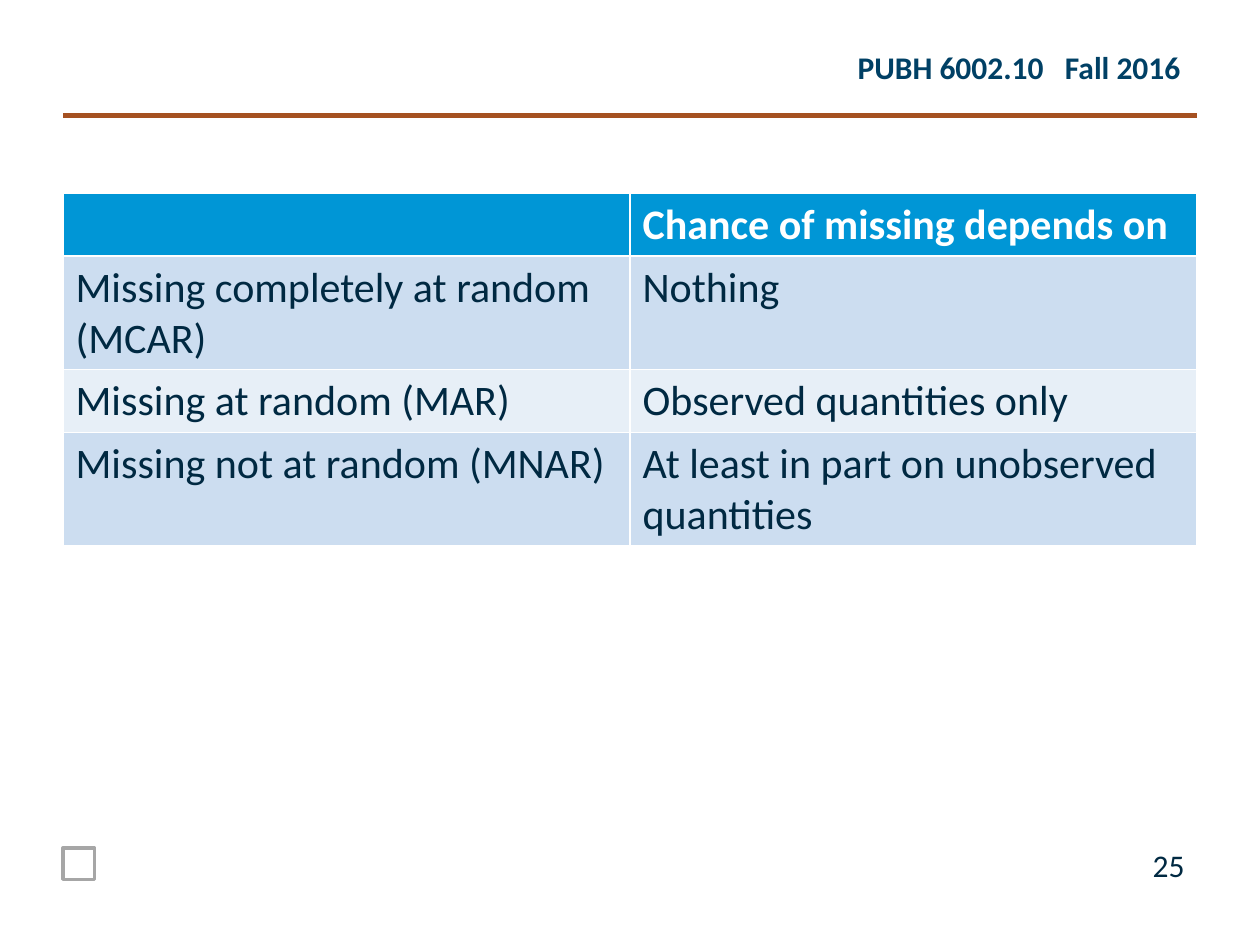
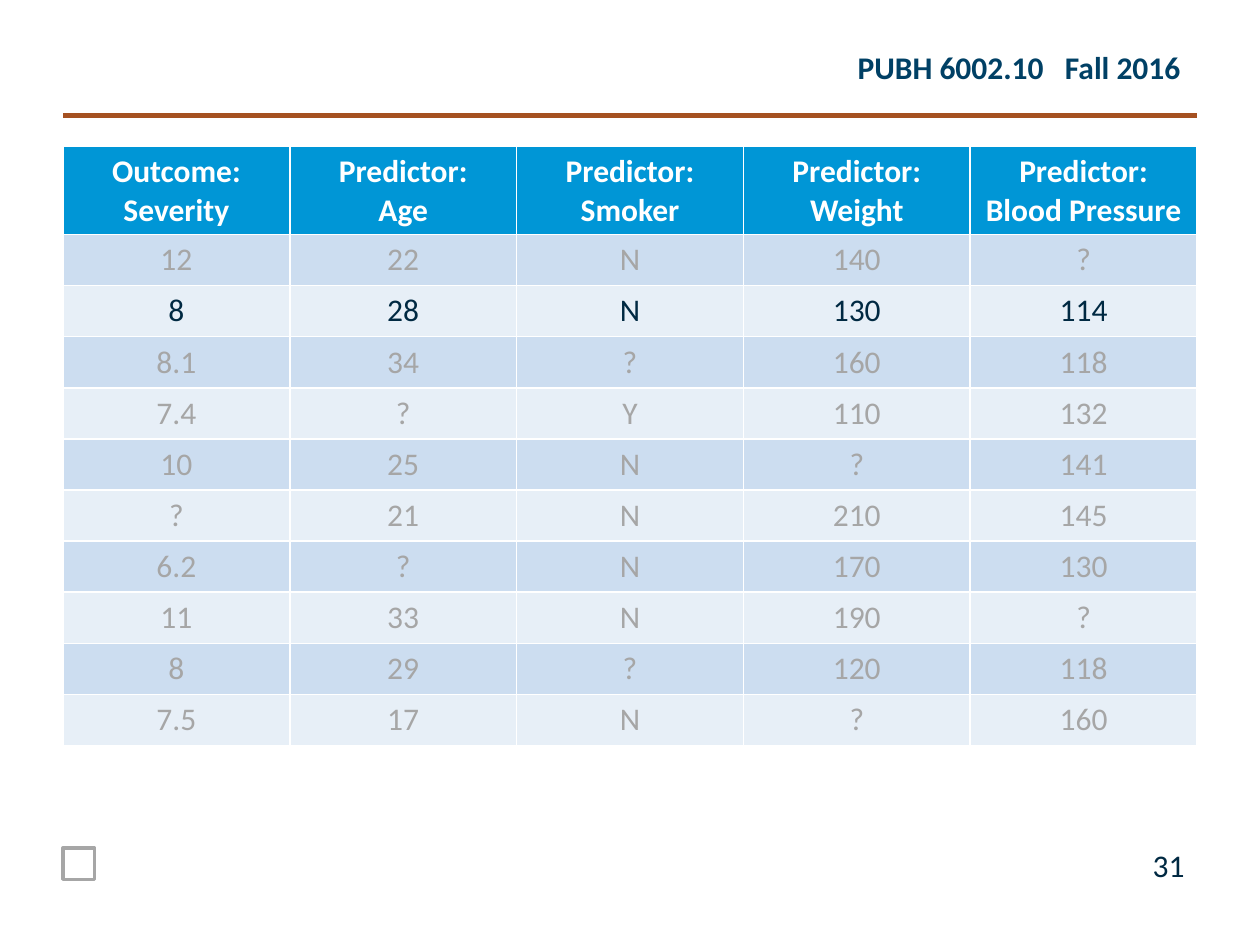
from pptx import Presentation
from pptx.dml.color import RGBColor
from pptx.enum.shapes import MSO_CONNECTOR as Conn, MSO_SHAPE as Shape
from pptx.enum.text import MSO_AUTO_SIZE as Fit, PP_ALIGN as Align
from pptx.oxml.ns import qn
from pptx.util import Pt
from lxml.etree import SubElement

NAVY, DARK, RUST, GREY = "004065", "002942", "A55121", "A6A6A6"
BLUE, WHITE = "0096D6", "FFFFFF"
BANDS = ["E7EFF7", "CCDDF0"]
LEFT, WIDTH = 36, 648


def rgb(code):
    return RGBColor.from_string(code)


def style(para, size, color, bold, align):
    para.font.name = "Calibri"
    para.font.size = Pt(size)
    para.font.bold = bold
    para.font.color.rgb = rgb(color)
    para.alignment = align


kinds = [
    ["", "Chance of missing depends on"],
    ["Missing completely at random (MCAR)", "Nothing"],
    ["Missing at random (MAR)", "Observed quantities only"],
    ["Missing not at random (MNAR)", "At least in part on unobserved quantities"],
]
cases = [
    ["Outcome:\nSeverity", "Predictor:\nAge", "Predictor:\nSmoker",
     "Predictor:\nWeight", "Predictor:\nBlood Pressure"],
    ["12", "22", "N", "140", "?"],
    ["8", "28", "N", "130", "114"],
    ["8.1", "34", "?", "160", "118"],
    ["7.4", "?", "Y", "110", "132"],
    ["10", "25", "N", "?", "141"],
    ["?", "21", "N", "210", "145"],
    ["6.2", "?", "N", "170", "130"],
    ["11", "33", "N", "190", "?"],
    ["8", "29", "?", "120", "118"],
    ["7.5", "17", "N", "?", "160"],
]
pages = [
    ("25", kinds, 110.3, 24, Align.LEFT, False),
    ("31", cases, 83.6, 18, Align.CENTER, True),
]

deck = Presentation()
deck.slide_width, deck.slide_height = Pt(720), Pt(540)

for number, rows, top, size, align, fade in pages:
    slide = deck.slides.add_slide(deck.slide_layouts[6])
    shapes = slide.shapes

    rule = shapes.add_connector(Conn.STRAIGHT, Pt(LEFT), Pt(66), Pt(LEFT + WIDTH), Pt(66))
    rule.line.color.rgb = rgb(RUST)
    rule.line.width = Pt(3)
    SubElement(rule._element.spPr, qn("a:effectLst"))

    for text, x, y, w, color, bold, side in [
        ("PUBH 6002.10   Fall 2016", 483, 24, 201, NAVY, True, Align.LEFT),
        (number, 648, 480, 36, DARK, False, Align.RIGHT),
    ]:
        frame = shapes.add_textbox(Pt(x), Pt(y), Pt(w), Pt(29)).text_frame
        frame.word_wrap = False
        frame.auto_size = Fit.SHAPE_TO_FIT_TEXT
        frame.text = text
        style(frame.paragraphs[0], 18, color, bold, side)

    box = shapes.add_shape(Shape.RECTANGLE, Pt(LEFT), Pt(484.5), Pt(18), Pt(18))
    box.shadow.inherit = False
    box.fill.background()
    box.line.color.rgb = rgb(GREY)
    box.line.width = Pt(2)

    count = len(rows[0])
    table = shapes.add_table(len(rows), count, Pt(LEFT), Pt(top),
                             Pt(WIDTH), Pt(29.2 * len(rows))).table
    for col in table.columns:
        col.width = Pt(WIDTH / count)
    for r, row in enumerate(rows):
        head = r == 0
        faded = fade and "?" in row
        if head:
            color = WHITE
        elif fade and r != 2:
            color = GREY
        else:
            color = DARK
        for c, text in enumerate(row):
            cell = table.cell(r, c)
            cell.fill.solid()
            cell.fill.fore_color.rgb = rgb(BLUE if head else BANDS[r % 2])
            cell.text = text
            for para in cell.text_frame.paragraphs:
                style(para, size, color, head, align)

deck.save("out.pptx")
